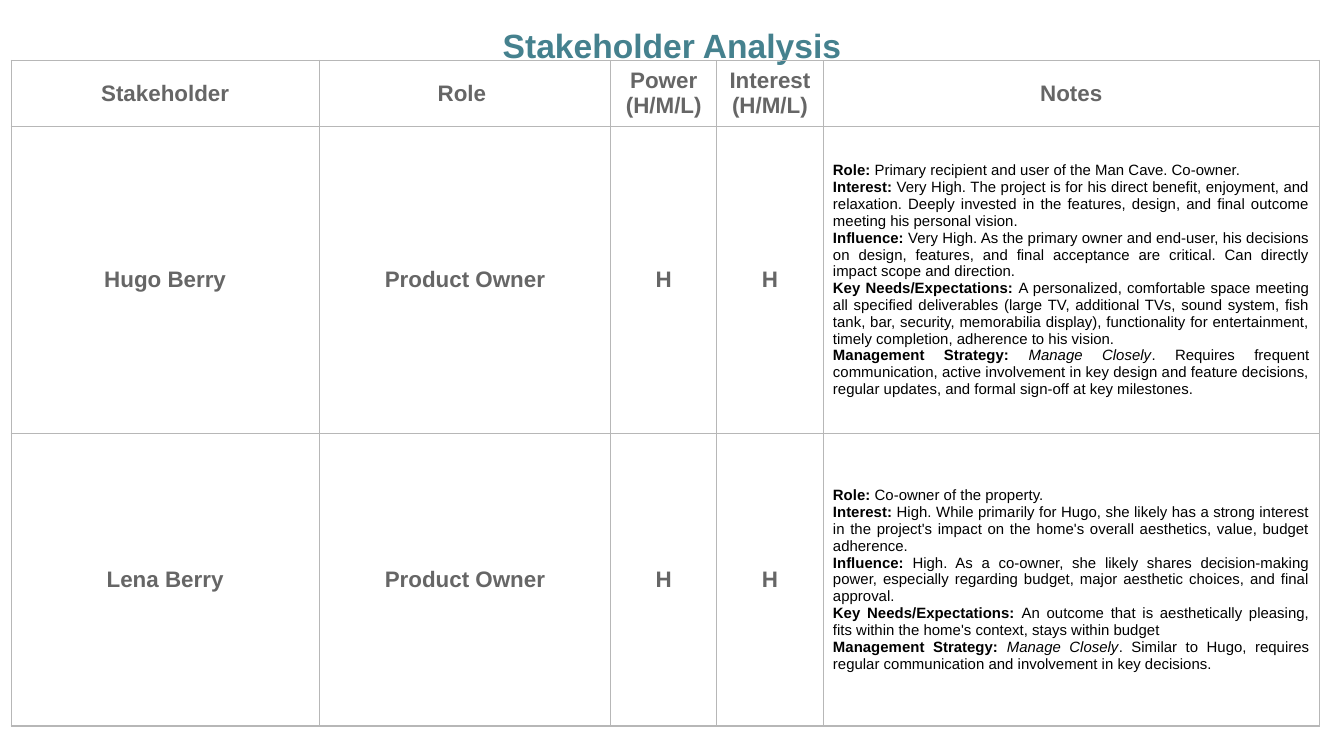
from dataclasses import dataclass

from lxml import etree
from pptx import Presentation
from pptx import util as u
from pptx.dml.color import RGBColor
from pptx.enum import text
from pptx.oxml import ns


@dataclass(frozen=True)
class Theme:
    font: str = "Arial"
    title_color: str = "45818E"
    label_color: str = "666666"
    note_color: str = "000000"
    border_color: str = "B7B7B7"
    border_width: float = 0.75
    title_size: float = 18
    label_size: float = 12
    note_size: float = 8


THEME = Theme()
COLUMN_WIDTHS = (165, 156.3, 56.7, 57.1, 265.7)
ROW_HEIGHTS = (35.2, 164.4, 156.8)
HEADINGS = ("Stakeholder", "Role ", "Power (H/M/L)", "Interest (H/M/L)", "Notes")
NOTE_LABELS = ("Role: ", "Interest: ", "Influence: ", "Key Needs/Expectations: ",
               "Management Strategy: ")
STRATEGY = "Manage Closely"
STAKEHOLDERS = (
    (("Hugo Berry", "Product Owner", "H", "H"), (
        "Primary recipient and user of the Man Cave. Co-owner.",
        "Very High. The project is for his direct benefit, enjoyment, and relaxation. "
        "Deeply invested in the features, design, and final outcome meeting his "
        "personal vision.",
        "Very High. As the primary owner and end-user, his decisions on design, "
        "features, and final acceptance are critical. Can directly impact scope and "
        "direction.",
        "A personalized, comfortable space meeting all specified deliverables (large "
        "TV, additional TVs, sound system, fish tank, bar, security, memorabilia "
        "display), functionality for entertainment, timely completion, adherence to "
        "his vision.",
        ". Requires frequent communication, active involvement in key design and "
        "feature decisions, regular updates, and formal sign-off at key milestones.",
    )),
    (("Lena Berry", "Product Owner", "H", "H"), (
        "Co-owner of the property.",
        "High. While primarily for Hugo, she likely has a strong interest in the "
        "project's impact on the home's overall aesthetics, value, budget adherence.",
        "High. As a co-owner, she likely shares decision-making power, especially "
        "regarding budget, major aesthetic choices, and final approval.",
        "An outcome that is aesthetically pleasing, fits within the home's context, "
        "stays within budget",
        ". Similar to Hugo, requires regular communication and involvement in key "
        "decisions.",
    )),
)


def apply_format(target, values):
    for name, value in values.items():
        setattr(target, name, value)


def add_span(para, words, size, color, bold=False, italic=False):
    span = para.add_run()
    span.text = words
    apply_format(span.font, {"name": THEME.font, "size": u.Pt(size),
                             "bold": bold, "italic": italic})
    span.font.color.rgb = RGBColor.from_string(color)


def add_title(page, words):
    box = page.shapes.add_textbox(u.Pt(60), u.Pt(3), u.Pt(600), u.Pt(36))
    margins = {f"margin_{side}": u.Pt(7.2) for side in ("left", "top", "right", "bottom")}
    apply_format(box.text_frame, {"word_wrap": True, **margins})
    para = box.text_frame.paragraphs[0]
    apply_format(para, {"alignment": text.PP_ALIGN.CENTER, "line_spacing": 1.15})
    add_span(para, words, THEME.title_size, THEME.title_color, bold=True)


def format_cell(cell):
    apply_format(cell, {"vertical_anchor": text.MSO_ANCHOR.MIDDLE,
                        "margin_left": u.Pt(5.2), "margin_right": u.Pt(5.2),
                        "margin_top": u.Pt(3.3), "margin_bottom": u.Pt(3.3)})
    properties = cell._tc.get_or_add_tcPr()
    for side in ("L", "R", "T", "B"):
        line = etree.SubElement(properties, ns.qn(f"a:ln{side}"),
                                w=str(u.Pt(THEME.border_width)))
        fill = etree.SubElement(line, ns.qn("a:solidFill"))
        etree.SubElement(fill, ns.qn("a:srgbClr"), val=THEME.border_color)
    cell.fill.background()


def write_label(cell, words):
    para = cell.text_frame.paragraphs[0]
    para.alignment = text.PP_ALIGN.CENTER
    add_span(para, words, THEME.label_size, THEME.label_color, bold=True)


def write_notes(cell, notes):
    frame = cell.text_frame
    style = (THEME.note_size, THEME.note_color)
    for index, (label, note) in enumerate(zip(NOTE_LABELS, notes)):
        para = frame.add_paragraph() if index else frame.paragraphs[0]
        para.alignment = text.PP_ALIGN.JUSTIFY
        add_span(para, label, *style, bold=True)
        if label == NOTE_LABELS[-1]:
            add_span(para, STRATEGY, *style, italic=True)
        add_span(para, note, *style)


def add_stakeholder_table(page):
    table = page.shapes.add_table(
        len(ROW_HEIGHTS), len(COLUMN_WIDTHS), u.Pt(6), u.Pt(32.4),
        u.Pt(sum(COLUMN_WIDTHS)), u.Pt(sum(ROW_HEIGHTS))).table
    apply_format(table, {"first_row": False, "horz_banding": False})
    for column, width in zip(table.columns, COLUMN_WIDTHS):
        column.width = u.Pt(width)
    for row, height in zip(table.rows, ROW_HEIGHTS):
        row.height = u.Pt(height)
    for cell in table.iter_cells():
        format_cell(cell)
    label_rows = [HEADINGS] + [labels for labels, _ in STAKEHOLDERS]
    for row_index, labels in enumerate(label_rows):
        for column_index, label in enumerate(labels):
            write_label(table.cell(row_index, column_index), label)
    for row_index, (_, notes) in enumerate(STAKEHOLDERS, start=1):
        write_notes(table.cell(row_index, len(COLUMN_WIDTHS) - 1), notes)


def main():
    deck = Presentation()
    apply_format(deck, {"slide_width": u.Pt(720), "slide_height": u.Pt(405)})
    page = deck.slides.add_slide(deck.slide_layouts[6])
    add_title(page, "Stakeholder Analysis")
    add_stakeholder_table(page)
    deck.save("out.pptx")


if __name__ == "__main__":
    main()
